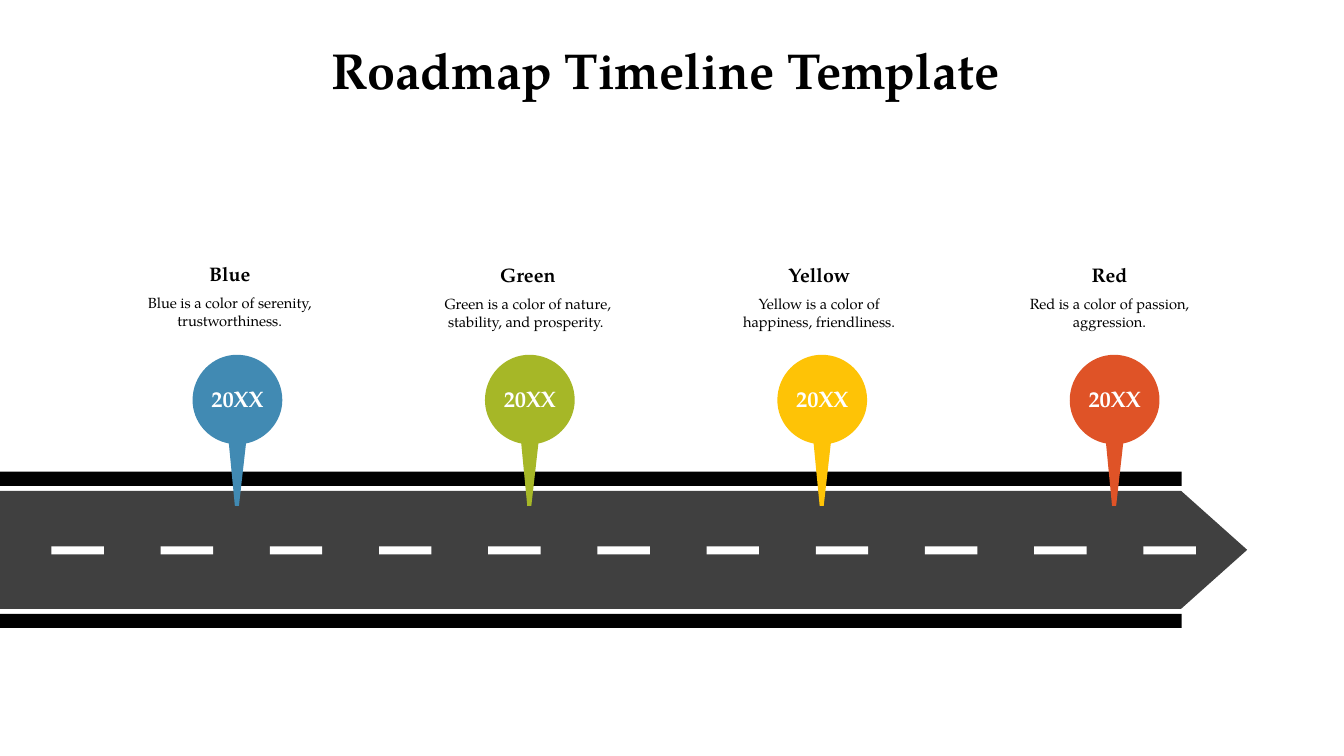
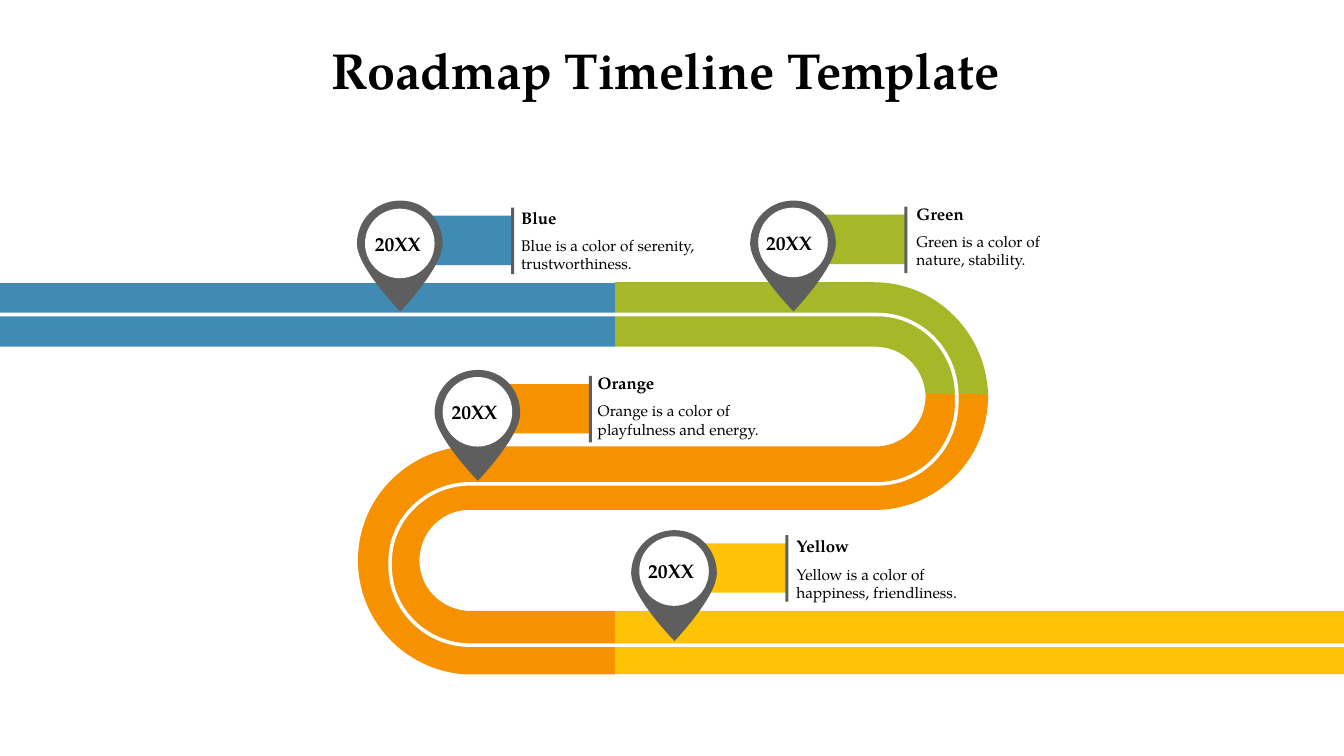
from lxml import etree
from pptx import Presentation
from pptx import util as u
from pptx.dml.color import RGBColor
from pptx.enum import shapes, text
from pptx.oxml import ns

FONT = "TeX Gyre Pagella"
BLACK = RGBColor(0x00, 0x00, 0x00)
WHITE = RGBColor(0xFF, 0xFF, 0xFF)
ASPHALT = RGBColor(0x40, 0x40, 0x40)
GRAY = RGBColor(0x5E, 0x5E, 0x5E)
BLUE = RGBColor(0x41, 0x8A, 0xB3)
GREEN = RGBColor(0xA6, 0xB7, 0x27)
YELLOW = RGBColor(0xFE, 0xC3, 0x06)
ORANGE = RGBColor(0xF6, 0x92, 0x00)
RED = RGBColor(0xDF, 0x53, 0x27)

WIDTH, HEIGHT = 13.33, 7.5
TITLE = "Roadmap Timeline Template "
YEAR = "20XX"
LEFT, CENTER = text.PP_ALIGN.LEFT, text.PP_ALIGN.CENTER

ROUND_PIN = [
    (0.44, 0),
    (0.2, 0, 0, 0.2, 0, 0.45),
    (0, 0.66, 0.15, 0.84, 0.36, 0.88),
    (0.42, 1.5), (0.46, 1.5), (0.53, 0.88),
    (0.73, 0.84, 0.89, 0.66, 0.89, 0.45),
    (0.89, 0.2, 0.69, 0, 0.44, 0),
]
DROP_PIN = [
    (0.43, 0),
    (0.19, 0, 0, 0.19, 0, 0.43),
    (0, 0.66, 0.43, 1.1, 0.43, 1.1),
    (0.43, 1.1, 0.85, 0.66, 0.85, 0.43),
    (0.85, 0.19, 0.67, 0, 0.43, 0),
]
GREEN_ROAD = [
    (6.1, 2.8), (6.1, 3.44), (8.7, 3.44),
    (8.96, 3.45, 9.16, 3.65, 9.18, 3.91),
    (9.8, 3.91),
    (9.78, 3.3, 9.28, 2.8, 8.67, 2.8),
]
ORANGE_ROAD = [
    (9.18, 3.91), (9.18, 3.93),
    (9.18, 4.2, 8.97, 4.42, 8.7, 4.43),
    (4.61, 4.43),
    (4.02, 4.47, 3.55, 4.96, 3.55, 5.56),
    (3.55, 6.16, 4.02, 6.65, 4.61, 6.69),
    (6.1, 6.69), (6.1, 6.06), (4.63, 6.06),
    (4.37, 6.04, 4.16, 5.83, 4.16, 5.56),
    (4.16, 5.29, 4.37, 5.07, 4.63, 5.06),
    (8.67, 5.06),
    (9.29, 5.06, 9.8, 4.56, 9.8, 3.93),
    (9.8, 3.91),
]
CENTER_LINE = [
    (WIDTH, 6.4), (4.66, 6.4),
    (4.23, 6.4, 3.87, 6.05, 3.87, 5.62),
    (3.87, 5.57),
    (3.87, 5.15, 4.23, 4.8, 4.66, 4.8),
    (8.7, 4.8),
    (9.14, 4.8, 9.49, 4.44, 9.49, 3.99),
    (9.49, 3.93),
    (9.49, 3.48, 9.14, 3.12, 8.7, 3.12),
    (0, 3.12),
]


def bend(shape, segments):
    lines = iter(shape.element.findall(".//" + ns.qn("a:lnTo")))
    for segment in segments:
        first = next(lines)
        if len(segment) == 2:
            continue
        curve = etree.Element(ns.qn("a:cubicBezTo"))
        first.addprevious(curve)
        for line in (first, next(lines), next(lines)):
            curve.append(line[0])
            line.getparent().remove(line)


def add_text(frame, content, size=14, color=BLACK, bold=True, align=LEFT,
             space_after=0, new=False):
    paragraph = frame.add_paragraph() if new else frame.paragraphs[0]
    paragraph.alignment = align
    paragraph.space_after = u.Pt(space_after)
    run = paragraph.add_run()
    run.text = content
    run.font.name = FONT
    run.font.size = u.Pt(size)
    run.font.bold = bold
    run.font.color.rgb = color


class Deck:
    def __init__(self):
        self.presentation = Presentation()
        self.presentation.slide_width = u.Inches(WIDTH)
        self.presentation.slide_height = u.Inches(HEIGHT)
        self.slide = None

    def start_slide(self):
        self.slide = self.presentation.slides.add_slide(self.presentation.slide_layouts[6])
        add_text(self.text_box(0, 0.34, WIDTH, 0.71), TITLE, size=36, align=CENTER)

    def text_box(self, left, top, width, height):
        box = self.slide.shapes.add_textbox(*map(u.Inches, (left, top, width, height)))
        box.text_frame.word_wrap = True
        return box.text_frame

    def caption(self, left, top, width, heading, body, sizes, align=LEFT):
        frame = self.text_box(left, top, width, 0.77)
        add_text(frame, heading, size=sizes[0], align=align, space_after=6)
        add_text(frame, body, size=sizes[1], bold=False, align=align, new=True)

    def paint(self, shape, color):
        shape.shadow.inherit = False
        shape.fill.solid()
        shape.fill.fore_color.rgb = color
        shape.line.fill.background()
        return shape

    def block(self, left, top, width, height, color, kind=shapes.MSO_SHAPE.RECTANGLE):
        shape = self.slide.shapes.add_shape(kind, *map(u.Inches, (left, top, width, height)))
        return self.paint(shape, color)

    def trace(self, outline, left=0, top=0, close=True):
        points = [(u.Inches(left + x), u.Inches(top + y))
                  for segment in outline
                  for x, y in zip(segment[::2], segment[1::2])]
        builder = self.slide.shapes.build_freeform(*points[0])
        builder.add_line_segments(points[1:], close=close)
        shape = builder.convert_to_shape()
        bend(shape, outline[1:])
        return shape

    def area(self, outline, color, left=0, top=0):
        return self.paint(self.trace(outline, left, top), color)

    def stripe(self, outline, color, width):
        shape = self.trace(outline, close=False)
        shape.shadow.inherit = False
        shape.fill.background()
        shape.line.color.rgb = color
        shape.line.width = u.Pt(width)

    def round_pin(self, left, top, color):
        frame = self.area(ROUND_PIN, color, left, top).text_frame
        frame.vertical_anchor = text.MSO_ANCHOR.TOP
        frame.margin_top = u.Inches(0.3)
        add_text(frame, YEAR, size=16, color=WHITE, align=CENTER)

    def drop_pin(self, left, top, shift, year_left, color):
        inner = top + shift
        self.block(left + 0.63, inner + 0.14, 0.92, 0.49, color)
        self.block(left + 1.53, inner + 0.06, 0.03, 0.66, GRAY)
        self.area(DROP_PIN, GRAY, left, top)
        self.block(left + 0.08, inner + 0.07, 0.69, 0.69, WHITE, shapes.MSO_SHAPE.OVAL)
        add_text(self.text_box(year_left, inner + 0.25, 0.71, 0.34), YEAR)


def straight_road(deck):
    deck.start_slide()
    road = deck.block(0, 4.87, 12.37, 1.17, ASPHALT, shapes.MSO_SHAPE.PENTAGON)
    road.adjustments[0] = 0.56
    for top in (4.68, 6.09):
        deck.block(0, top, 11.72, 0.14, BLACK)
    for index in range(11):
        deck.block(0.51 + 10.83 / 10 * index, 5.42, 0.52, 0.08, WHITE)
    stops = [
        (1.26, 2.55, 2.04, BLUE, "Blue", "Blue is a color of serenity, trustworthiness."),
        (4.24, 2.56, 1.99, GREEN, "Green",
         "Green is a color of nature, stability, and prosperity. "),
        (7.13, 2.56, 1.99, YELLOW, "Yellow", "Yellow is a color of happiness, friendliness."),
        (9.98, 2.56, 2.05, RED, "Red", "Red is a color of passion, aggression."),
    ]
    for index, (left, top, width, color, heading, body) in enumerate(stops):
        deck.round_pin(1.91 + 2.9 * index, 3.52, color)
        deck.caption(left, top, width, heading, body, (14, 10.5), CENTER)


def winding_road(deck):
    deck.start_slide()
    deck.area(GREEN_ROAD, GREEN)
    deck.block(0, 2.81, 6.1, 0.63, BLUE)
    deck.area(ORANGE_ROAD, ORANGE)
    deck.block(6.1, 6.06, WIDTH - 6.1, 0.63, YELLOW)
    deck.stripe(CENTER_LINE, WHITE, 2.56)
    stops = [
        ((3.54, 1.99, 0.01, 3.62, BLUE), (5.07, 2.01, 2.05),
         "Blue", "Blue is a color of serenity, trustworthiness."),
        ((6.26, 5.26, -0.01, 6.33, YELLOW), (7.8, 5.27, 2.05),
         "Yellow", "Yellow is a color of happiness, friendliness."),
        ((7.44, 1.99, 0, 7.5, GREEN), (8.99, 1.97, 1.76),
         "Green", "Green is a color of nature, stability."),
        ((4.31, 3.67, 0, 4.38, ORANGE), (5.83, 3.65, 2.05),
         "Orange", "Orange is a color of playfulness and energy."),
    ]
    for pin, place, heading, body in stops:
        deck.drop_pin(*pin)
        deck.caption(*place, heading, body, (12, 11))


def main():
    deck = Deck()
    straight_road(deck)
    winding_road(deck)
    deck.presentation.save("out.pptx")


if __name__ == "__main__":
    main()
